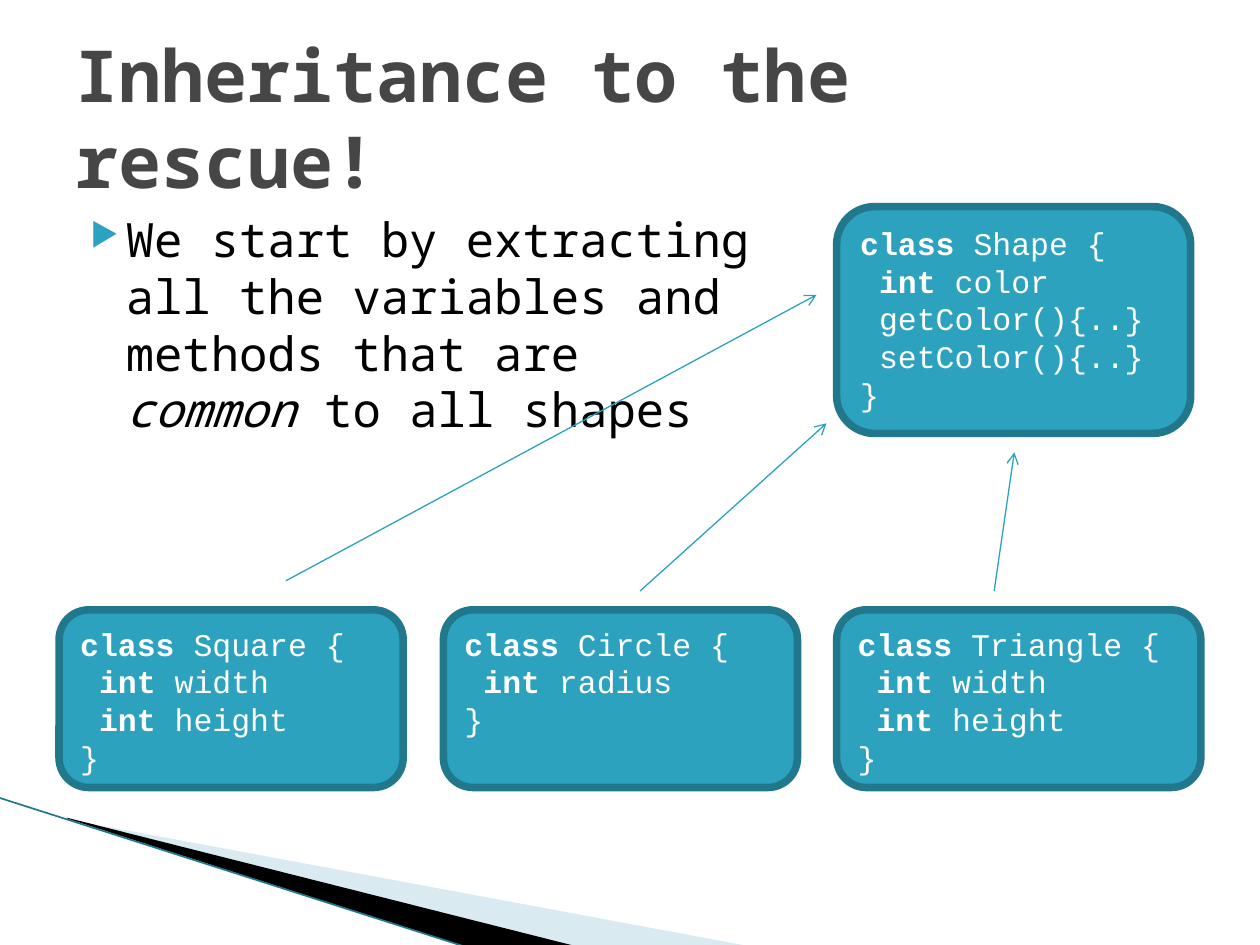
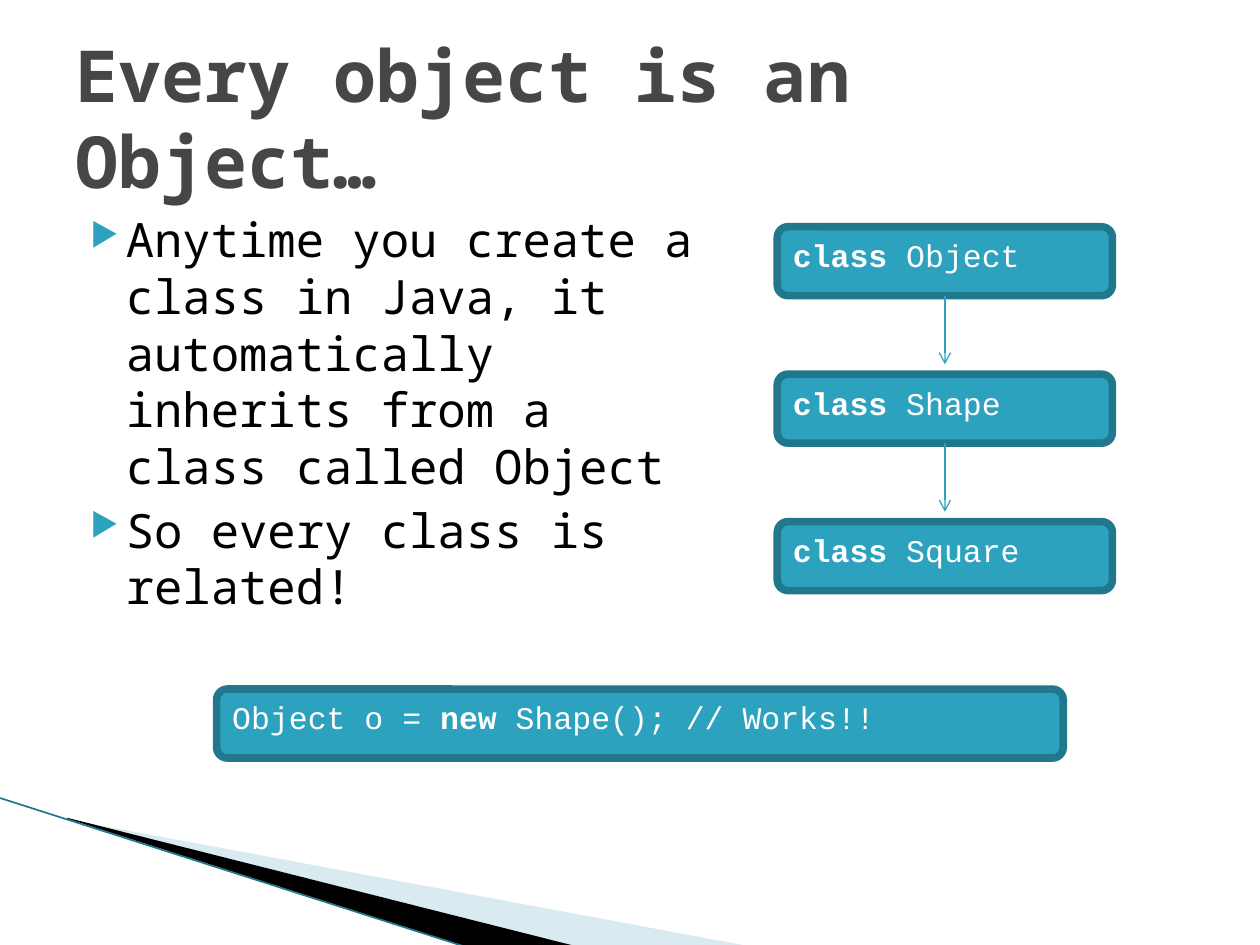
from lxml.etree import SubElement
from pptx import Presentation
from pptx.dml.color import RGBColor
from pptx.enum.shapes import MSO_CONNECTOR, MSO_SHAPE
from pptx.enum.text import MSO_ANCHOR, PP_ALIGN
from pptx.oxml.ns import qn
from pptx.util import Pt

TEAL = RGBColor(0x2D, 0xA2, 0xBF)
DARK_TEAL = RGBColor(0x21, 0x78, 0x8D)
PALE_BLUE = RGBColor(0xA0, 0xCB, 0xDC)
GREY = RGBColor(0x46, 0x46, 0x46)
BLACK = RGBColor(0, 0, 0)
WHITE = RGBColor(255, 255, 255)

TITLE = {"name": "Noto Sans Mono", "size": Pt(41), "color": GREY, "bold": True}
BODY = {"name": "Noto Sans Mono", "size": Pt(27), "color": BLACK}
CODE = {"name": "Courier New", "size": Pt(18), "color": WHITE}

# Corner decoration: points, colour, opacity in percent
WEDGES = [
    ([(39.6, 468.4), (428.4, 540.7), (328.3, 540.7), (39.6, 468)], PALE_BLUE, 40),
    ([(38.2, 467.3), (329, 540.7), (267.8, 541.4), (38.9, 468)], BLACK, 100),
]
CORNER_LINE = (-0.7, 455.8, 267.1, 541.4)

# Text between asterisks is emphasised: italic in bullets, bold in code
CHILD_TOP, CHILD_HEIGHT = 348.5, 101.5
CHILDREN = [
    (33.8, 196.6, ["*class* Square {", " *int* width", " *int* height", "}"]),
    (253.4, 202.3, ["*class* Circle {", " *int* radius", "}"]),
    (478.1, 208.1, ["*class* Triangle {", " *int* width", " *int* height", "}"]),
]
PARENT = (478.1, 118.1, 202.3, 129.6)
PARENT_CODE = ["*class* Shape {", " *int* color", " getColor(){..}", " setColor(){..}", "}"]
INHERITANCE_ARROWS = [
    (568.1, 337.7, 579.6, 258.5),
    (365.8, 337.7, 472.3, 241.9),
    (163.4, 331.9, 466.6, 168.5),
]

CHAIN = ["*class* Object", "*class* Shape", "*class* Square"]
CHAIN_LEFT, CHAIN_TOP, CHAIN_WIDTH, CHAIN_STEP = 444.2, 129.6, 191.5, 84.25
BAR_HEIGHT, BAR_CORNER, ARROW_LENGTH = 39.4, 0.156, 39.2
EXAMPLE = (123.8, 393.8, 483.8, BAR_HEIGHT)
EXAMPLE_CODE = ["Object o = *new* Shape(); // Works!!"]


def add_marked_text(paragraph, text, style, emphasis):
    """Add runs in a style, setting the emphasis on text between asterisks."""
    for index, part in enumerate(text.split("*")):
        if part:
            run = paragraph.add_run()
            run.text = part
            for key, value in style.items():
                if key == "color":
                    run.font.color.rgb = value
                else:
                    setattr(run.font, key, value)
            if index % 2:
                setattr(run.font, emphasis, True)


def add_text_box(slide, box, anchor=MSO_ANCHOR.TOP):
    """Add a wrapping text box and return its text frame."""
    frame = slide.shapes.add_textbox(*map(Pt, box)).text_frame
    frame.word_wrap = True
    frame.vertical_anchor = anchor
    return frame


def add_bullets(slide, box, bullets):
    """Add the bulleted body text."""
    frame = add_text_box(slide, box)
    for index, text in enumerate(bullets):
        paragraph = frame.add_paragraph() if index else frame.paragraphs[0]
        paragraph.space_before = Pt(4)
        properties = paragraph._p.get_or_add_pPr()
        properties.set("marL", str(Pt(28.8)))
        properties.set("indent", str(Pt(-20.2)))
        colour = SubElement(properties, qn("a:buClr"))
        SubElement(colour, qn("a:srgbClr"), val=str(TEAL))
        SubElement(properties, qn("a:buSzPct"), val="68000")
        SubElement(properties, qn("a:buChar"), char="▶")
        add_marked_text(paragraph, text, BODY, "italic")


def add_code_box(slide, box, lines, corner=None):
    """Add a rounded box holding lines of code."""
    shape = slide.shapes.add_shape(MSO_SHAPE.ROUNDED_RECTANGLE, *map(Pt, box))
    shape.shadow.inherit = False
    if corner is not None:
        shape.adjustments[0] = corner
    shape.fill.solid()
    shape.fill.fore_color.rgb = TEAL
    shape.line.color.rgb = DARK_TEAL
    shape.line.width = Pt(4.33)
    frame = shape.text_frame
    frame.word_wrap = True
    frame.vertical_anchor = MSO_ANCHOR.TOP
    for index, text in enumerate(lines):
        paragraph = frame.add_paragraph() if index else frame.paragraphs[0]
        paragraph.alignment = PP_ALIGN.LEFT
        add_marked_text(paragraph, text, CODE, "bold")


def add_line(slide, ends, colour=TEAL, width=0.75, arrow=True):
    """Add a straight line, with an open arrowhead at its end if wanted."""
    line = slide.shapes.add_connector(MSO_CONNECTOR.STRAIGHT, *map(Pt, ends))
    line.line.color.rgb = colour
    line.line.width = Pt(width)
    if arrow:
        SubElement(line.line._get_or_add_ln(), qn("a:tailEnd"), type="arrow")
    SubElement(line._element.spPr, qn("a:effectLst"))


def add_wedge(slide, points, colour, opacity):
    """Add one filled outline of the corner decoration."""
    start, *others = [(Pt(x), Pt(y)) for x, y in points]
    builder = slide.shapes.build_freeform(*start)
    builder.add_line_segments(others, close=True)
    shape = builder.convert_to_shape()
    shape.shadow.inherit = False
    shape.fill.solid()
    shape.fill.fore_color.rgb = colour
    shape.line.fill.background()
    if opacity < 100:
        fill_colour = shape._element.spPr.find(".//" + qn("a:srgbClr"))
        SubElement(fill_colour, qn("a:alpha"), val=str(opacity * 1000))


def add_base_slide(presentation, title, body_box, bullets):
    """Add a slide with the shared decoration, body text and title."""
    slide = presentation.slides.add_slide(presentation.slide_layouts[6])
    for wedge in WEDGES:
        add_wedge(slide, *wedge)
    add_line(slide, CORNER_LINE, DARK_TEAL, 0.95, arrow=False)
    add_bullets(slide, body_box, bullets)
    frame = add_text_box(slide, (36, 21.6, 648, 90), MSO_ANCHOR.MIDDLE)
    add_marked_text(frame.paragraphs[0], title, TITLE, "bold")
    return slide


def add_inheritance_slide(presentation):
    """Build the slide with three classes pointing to their parent."""
    slide = add_base_slide(
        presentation, "Inheritance to the rescue!", (36, 116.6, 414, 209.5),
        ["We start by extracting all the variables and methods that are "
         "*common* to all shapes"])
    for left, width, lines in CHILDREN:
        add_code_box(slide, (left, CHILD_TOP, width, CHILD_HEIGHT), lines)
    add_code_box(slide, PARENT, PARENT_CODE)
    for ends in INHERITANCE_ARROWS:
        add_line(slide, ends)


def add_object_slide(presentation):
    """Build the slide with the chain of classes below Object."""
    slide = add_base_slide(
        presentation, "Every object is an Object…", (36, 116.6, 374.4, 356.4),
        ["Anytime you create a class in Java, it automatically inherits from "
         "a class called Object",
         "So every class is related!"])
    tops = [CHAIN_TOP + index * CHAIN_STEP for index in range(len(CHAIN))]
    for top, text in zip(tops, CHAIN):
        add_code_box(slide, (CHAIN_LEFT, top, CHAIN_WIDTH, BAR_HEIGHT), [text], BAR_CORNER)
    middle = CHAIN_LEFT + CHAIN_WIDTH / 2
    for top in tops[:-1]:
        bottom = top + BAR_HEIGHT
        add_line(slide, (middle, bottom, middle, bottom + ARROW_LENGTH))
    add_code_box(slide, EXAMPLE, EXAMPLE_CODE, BAR_CORNER)


presentation = Presentation()
presentation.slide_width, presentation.slide_height = Pt(720), Pt(540)
add_inheritance_slide(presentation)
add_object_slide(presentation)
presentation.save("out.pptx")
